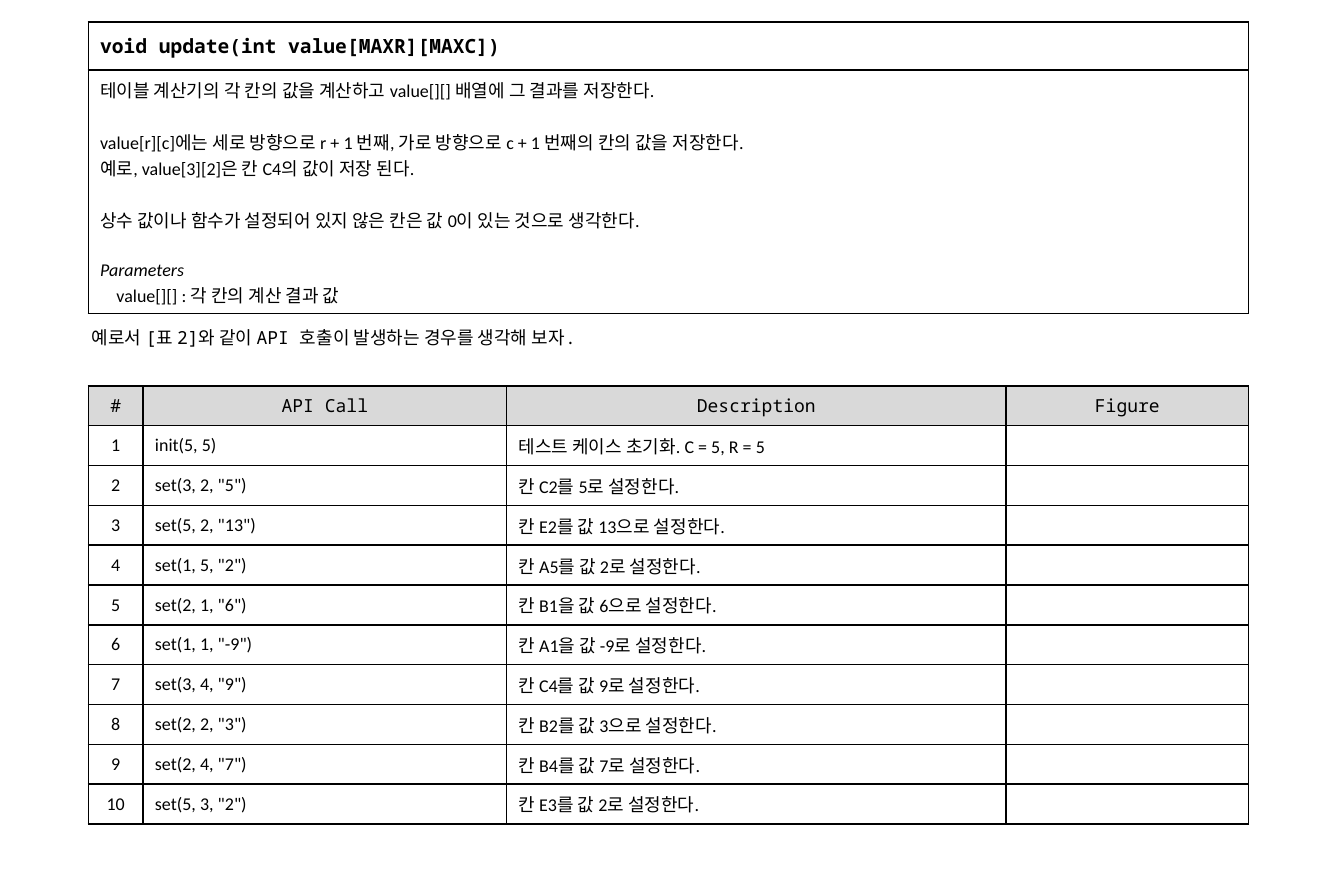
from dataclasses import dataclass

from lxml import etree
from pptx import Presentation
from pptx.dml.color import RGBColor
from pptx.enum.text import MSO_ANCHOR, MSO_AUTO_SIZE, PP_ALIGN
from pptx.oxml.ns import qn
from pptx.util import Pt

MIDDLE = MSO_ANCHOR.MIDDLE
CENTER = PP_ALIGN.CENTER
LEFT = PP_ALIGN.LEFT
FIT_SHAPE = MSO_AUTO_SIZE.SHAPE_TO_FIT_TEXT


@dataclass(frozen=True)
class Theme:
    ink: str = "000000"
    header_fill: str = "D9D9D9"
    body_font: str = "Calibri"
    code_font: str = "Noto Sans Mono"
    title_size: float = 12
    body_size: float = 11
    border: float = 1
    section_gap: float = 16
    parameter_indent: float = 10


THEME = Theme()

SIGNATURE = "void update(int value[MAXR][MAXC])"
SECTIONS = [
    ["테이블 계산기의 각 칸의 값을 계산하고 value[][] 배열에 그 결과를 저장한다."],
    [
        "value[r][c]에는 세로 방향으로 r + 1 번째, 가로 방향으로 c + 1 번째의 칸의 값을 저장한다.",
        "예로, value[3][2]은 칸 C4의 값이 저장 된다.",
    ],
    ["상수 값이나 함수가 설정되어 있지 않은 칸은 값 0이 있는 것으로 생각한다."],
]
PARAMETERS = ["Parameters", "value[][] : 각 칸의 계산 결과 값"]
LEAD_IN = "예로서 [표 2]와 같이 API 호출이 발생하는 경우를 생각해 보자."
HEADINGS = ["#", "API Call", "Description", "Figure"]
CALLS = [
    ("init(5, 5)", "테스트 케이스 초기화. C = 5, R = 5"),
    ('set(3, 2, "5")', "칸 C2를 5로 설정한다."),
    ('set(5, 2, "13")', "칸 E2를 값 13으로 설정한다."),
    ('set(1, 5, "2")', "칸 A5를 값 2로 설정한다."),
    ('set(2, 1, "6")', "칸 B1을 값 6으로 설정한다."),
    ('set(1, 1, "-9")', "칸 A1을 값 -9로 설정한다."),
    ('set(3, 4, "9")', "칸 C4를 값 9로 설정한다."),
    ('set(2, 2, "3")', "칸 B2를 값 3으로 설정한다."),
    ('set(2, 4, "7")', "칸 B4를 값 7로 설정한다."),
    ('set(5, 3, "2")', "칸 E3를 값 2로 설정한다."),
]


def format_paragraph(paragraph, font_name, size=THEME.body_size, bold=False, italic=False):
    for run in paragraph.runs:
        run.font.name = font_name
        run.font.size = Pt(size)
        run.font.bold = bold
        run.font.italic = italic
        run.font.color.rgb = RGBColor.from_string(THEME.ink)
    if not paragraph.runs:
        etree.SubElement(paragraph._p, qn("a:endParaRPr"), sz=str(size * 100))


def format_cell(cell, fill=None):
    cell.vertical_anchor = MIDDLE
    properties = cell._tc.get_or_add_tcPr()
    for side in ("a:lnL", "a:lnR", "a:lnT", "a:lnB"):
        line = etree.SubElement(properties, qn(side), w=str(Pt(THEME.border)))
        solid = etree.SubElement(line, qn("a:solidFill"))
        etree.SubElement(solid, qn("a:srgbClr"), val=THEME.ink)
    if fill:
        cell.fill.solid()
        cell.fill.fore_color.rgb = RGBColor.from_string(fill)
    else:
        cell.fill.background()


def add_grid(slide, left, top, widths, heights):
    frame = slide.shapes.add_table(
        len(heights), len(widths), Pt(left), Pt(top), Pt(sum(widths)), Pt(sum(heights))
    )
    table = frame.table
    table.first_row = False
    table.horz_banding = False
    for column, width in zip(table.columns, widths):
        column.width = Pt(width)
    for row, height in zip(table.rows, heights):
        row.height = Pt(height)
    return table


def add_function_box(slide, left, top, width, title_height, body_height):
    table = add_grid(slide, left, top, [width], [title_height, body_height])
    title, body = table.cell(0, 0), table.cell(1, 0)
    format_cell(title)
    format_cell(body)
    title.text_frame.text = SIGNATURE
    format_paragraph(title.text_frame.paragraphs[0], THEME.code_font, THEME.title_size, bold=True)

    sections = SECTIONS + [PARAMETERS]
    text_frame = body.text_frame
    text_frame.text = "\n".join(line for section in sections for line in section)
    paragraphs = iter(text_frame.paragraphs)
    for section_index, section in enumerate(sections):
        for line_index, line in enumerate(section):
            paragraph = next(paragraphs)
            if section_index and line_index == 0:
                paragraph.space_before = Pt(THEME.section_gap)
            format_paragraph(paragraph, THEME.body_font, italic=line == PARAMETERS[0])
    indent = str(Pt(THEME.parameter_indent))
    text_frame.paragraphs[-1]._p.get_or_add_pPr().set("marL", indent)


def add_lead_in(slide, left, top, width, height):
    shape = slide.shapes.add_textbox(Pt(left), Pt(top), Pt(width), Pt(height))
    text_frame = shape.text_frame
    text_frame.word_wrap = False
    text_frame.auto_size = FIT_SHAPE
    text_frame.text = LEAD_IN
    paragraph = text_frame.paragraphs[0]
    paragraph.line_spacing = 1.3
    format_paragraph(paragraph, THEME.code_font)


def add_call_table(slide, left, top, widths, row_height):
    rows = [HEADINGS]
    rows += [(str(number), *call, "") for number, call in enumerate(CALLS, 1)]
    table = add_grid(slide, left, top, widths, [row_height] * len(rows))
    for row_index, row in enumerate(rows):
        is_header = row_index == 0
        for column_index, text in enumerate(row):
            cell = table.cell(row_index, column_index)
            format_cell(cell, THEME.header_fill if is_header else None)
            cell.text_frame.text = text
            paragraph = cell.text_frame.paragraphs[0]
            paragraph.alignment = CENTER if is_header or column_index == 0 else LEFT
            format_paragraph(paragraph, THEME.code_font if is_header else THEME.body_font)


def main():
    presentation = Presentation()
    presentation.slide_width = Pt(822.24)
    presentation.slide_height = Pt(540)
    slide = presentation.slides.add_slide(presentation.slide_layouts[6])
    add_function_box(slide, 54, 13.5, 710, 29.4, 148.7)
    add_lead_in(slide, 49, 192.2, 362, 23)
    add_call_table(slide, 54, 236, [33.6, 222.4, 305.6, 148.4], 24.35)
    presentation.save("out.pptx")


if __name__ == "__main__":
    main()
